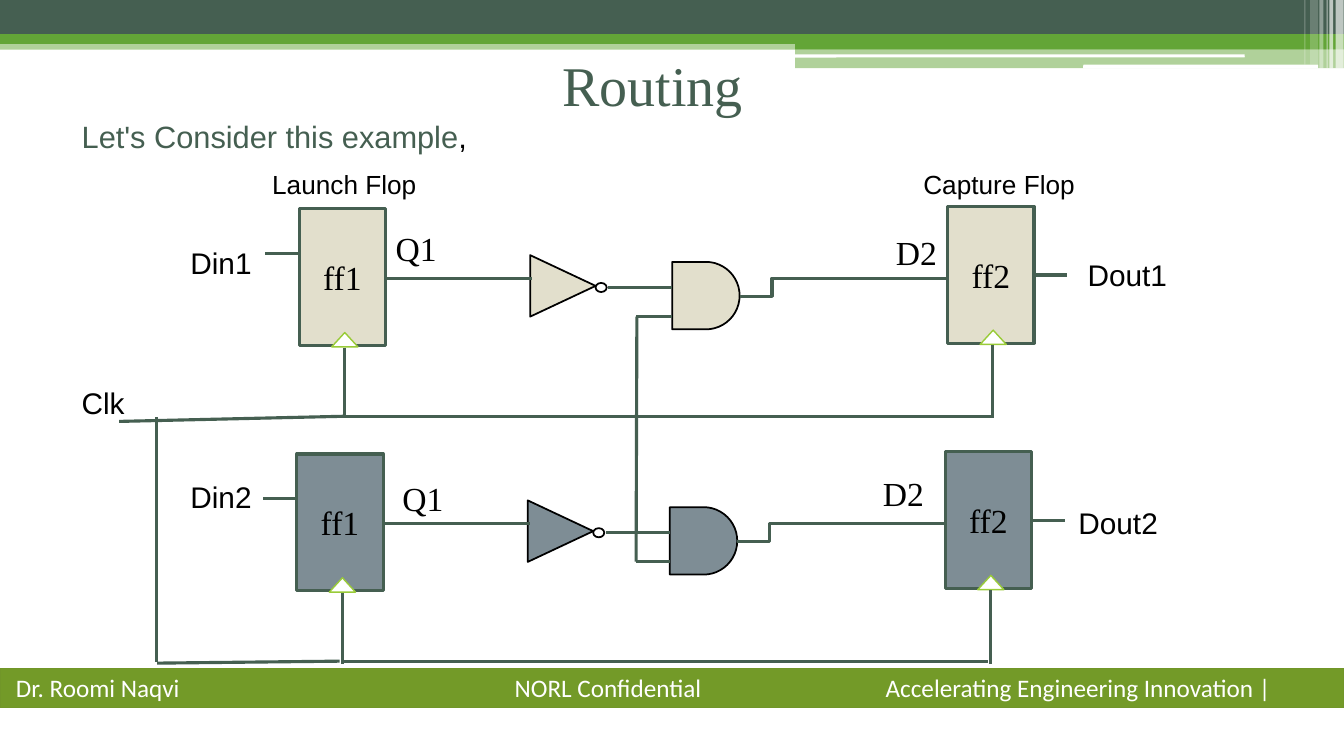
from dataclasses import dataclass

from lxml import etree
from pptx import Presentation
from pptx import util as u
from pptx.dml.color import RGBColor
from pptx.enum import shapes, text
from pptx.oxml import ns


@dataclass(frozen=True)
class Theme:
    dark: str = "455F51"
    green: str = "63A537"
    lime: str = "99CB38"
    footer: str = "739A28"
    footer_edge: str = "719629"
    beige: str = "E2DFCC"
    slate: str = "7E8D95"
    white: str = "FFFFFF"
    black: str = "000000"
    serif: str = "Times New Roman"
    sans: str = "Arial"
    footer_font: str = "Calibri"
    title_size: float = 40
    intro_size: float = 22
    pin_size: float = 24
    port_size: float = 21.3
    caption_size: float = 18.7
    footer_size: float = 18
    wire_width: float = 2.25
    gate_width: float = 1.25


theme = Theme()
kinds = shapes.MSO_SHAPE
deck = Presentation()
deck.slide_width, deck.slide_height = u.Cm(33.87), u.Cm(19.05)
page = deck.slides.add_slide(deck.slide_layouts[6])


def write(box, words, *, font=theme.sans, size=theme.port_size, color=theme.black,
          align=text.PP_ALIGN.LEFT, anchor=text.MSO_ANCHOR.TOP, inset=0):
    """Add words to the first paragraph of a box and return the paragraph."""
    frame = box.text_frame
    frame.word_wrap = True
    frame.vertical_anchor = anchor
    frame.margin_left = u.Cm(inset)
    frame.margin_right = frame.margin_top = frame.margin_bottom = 0
    para = frame.paragraphs[0]
    para.alignment = align
    span = para.add_run()
    span.text = words
    span.font.name, span.font.size = font, u.Pt(size)
    span.font.color.rgb = RGBColor.from_string(color)
    return para


def draw(kind, place, fill, line=None, width=1, opacity=100):
    """Add a preset shape; place is left, top, width, height in cm."""
    shape = page.shapes.add_shape(kind, *map(u.Cm, place))
    shape.shadow.inherit = False
    shape.fill.solid()
    shape.fill.fore_color.rgb = RGBColor.from_string(fill)
    if opacity < 100:
        tint = shape.fill._xPr.find(".//" + ns.qn("a:srgbClr"))
        etree.SubElement(tint, ns.qn("a:alpha"), val=str(opacity * 1000))
    if line:
        shape.line.color.rgb = RGBColor.from_string(line)
        shape.line.width = u.Pt(width)
    else:
        shape.line.fill.background()
    return shape


# Banner bands, then the thin white stripes at the right
for kind, place, color, opacity in [
    (kinds.RECTANGLE, (0, 1.02, 33.87, 0.23), theme.green, 50),
    (kinds.RECTANGLE, (0, 0, 33.87, 0.86), theme.dark, 100),
    (kinds.RECTANGLE, (0, 0.86, 33.87, 0.25), theme.green, 100),
    (kinds.RECTANGLE, (20.04, 0.99, 13.83, 0.25), theme.green, 100),
    (kinds.RECTANGLE, (20.04, 1.22, 13.83, 0.5), theme.green, 50),
    (kinds.ROUNDED_RECTANGLE, (20.02, 1.37, 11.35, 0.08), theme.white, 100),
    (kinds.ROUNDED_RECTANGLE, (27.3, 1.63, 5.92, 0.1), theme.white, 100),
]:
    draw(kind, place, color, opacity=opacity)
for left, width, height, opacity in [
    (33.66, 0.2, 1.73, 65), (33.5, 0.1, 1.73, 65), (33.43, 0.03, 1.73, 60),
    (33.25, 0.1, 1.73, 40), (33.02, 0.2, 1.63, 20), (32.87, 0.03, 1.63, 30),
]:
    draw(kinds.RECTANGLE, (left, 0, width, height), theme.white, opacity=opacity)

# Footer with three tabbed parts
footer = draw(kinds.RECTANGLE, (0, 16.84, 33.87, 0.99), theme.footer, theme.footer_edge)
footer_para = footer.text_frame.paragraphs[0]
tabs = etree.SubElement(footer_para._p.get_or_add_pPr(), ns.qn("a:tabLst"))
for stop in (12.57, 21.92):
    etree.SubElement(tabs, ns.qn("a:tab"), pos=str(u.Cm(stop)), algn="l")
write(footer, "Dr. Roomi Naqvi\tNORL Confidential\tAccelerating Engineering Innovation |",
      font=theme.footer_font, size=theme.footer_size, color=theme.white,
      anchor=text.MSO_ANCHOR.MIDDLE, inset=0.4)

# Title and introduction
title = page.shapes.add_textbox(*map(u.Cm, (0.61, 1.07, 31.67, 2.08)))
write(title, "Routing", font=theme.serif, size=theme.title_size, color=theme.dark,
      align=text.PP_ALIGN.CENTER, anchor=text.MSO_ANCHOR.MIDDLE)
intro = page.shapes.add_textbox(*map(u.Cm, (2.06, 2.97, 28.78, 0.94)))
write(intro, "Let's Consider this example", size=theme.intro_size, color=theme.dark)
write(intro, ",", size=theme.intro_size)

# Each stage: two flops, an inverter and an AND gate
stage_wires = [
    (26.06, 6.93, 26.9, 6.93),     # data out
    (25.02, 8.69, 25.02, 10.54),   # clock to ff2
    (9.73, 7.01, 13.41, 7.01),     # Q1 to inverter
    (8.69, 8.76, 8.69, 10.54),     # clock to ff1
    (20.17, 7.01, 23.88, 7.01),    # into D2
    (8.69, 10.49, 24.97, 10.49),   # clock bus
    (7.54, 6.38, 6.68, 6.38),      # data in
    (15.32, 7.24, 16.94, 7.24),    # inverter to gate
    (18.64, 7.47, 20.27, 7.01),    # gate output step
]
wires = []
for dx, dy, color in [(0, 0, theme.beige), (-0.06, 6.18, theme.slate)]:
    for name, left, top in [("ff1", 7.54, 5.26), ("ff2", 23.88, 5.2)]:
        flop = draw(kinds.RECTANGLE, (left + dx, top + dy, 2.18, 3.45), color,
                    theme.dark, theme.wire_width)
        write(flop, name, font=theme.serif, size=theme.pin_size,
              align=text.PP_ALIGN.CENTER, anchor=text.MSO_ANCHOR.MIDDLE)
        draw(kinds.ISOSCELES_TRIANGLE, (left + dx + 0.82, top + dy + 3.12, 0.66, 0.36),
             theme.white, theme.lime)
    inverter = draw(kinds.ISOSCELES_TRIANGLE, (13.41 + dx, 6.38 + dy, 1.55, 1.65),
                    color, theme.black, theme.gate_width)
    inverter.rotation = 90
    draw(kinds.OVAL, (15.01 + dx, 7.13 + dy, 0.28, 0.23), theme.white,
         theme.black, theme.gate_width)
    draw(kinds.FLOWCHART_DELAY, (16.94 + dx, 6.6 + dy, 1.7, 1.7), color,
         theme.black, theme.gate_width)
    wires += [(x1 + dx, y1 + dy, x2 + dx, y2 + dy) for x1, y1, x2, y2 in stage_wires]

# Wires shared by the stages: clock feeds and the gate cross link
wires += [
    (8.64, 10.49, 3, 10.62), (8.56, 16.66, 3.96, 16.71), (3.94, 10.52, 3.94, 16.69),
    (16.03, 7.98, 16.94, 7.98), (16.03, 14.15, 16.89, 14.15), (16.03, 14.15, 16.05, 7.98),
]
for x1, y1, x2, y2 in wires:
    stepped = abs(x2 - x1) > 0.2 and abs(y2 - y1) > 0.2
    style = shapes.MSO_CONNECTOR.ELBOW if stepped else shapes.MSO_CONNECTOR.STRAIGHT
    wire = page.shapes.add_connector(style, *map(u.Cm, (x1, y1, x2, y2)))
    wire.line.color.rgb = RGBColor.from_string(theme.dark)
    wire.line.width = u.Pt(theme.wire_width)
    etree.SubElement(wire._element.spPr, ns.qn("a:effectLst"))

# Labels for captions, ports and pins
caption = dict(size=theme.caption_size)
port = dict(size=theme.port_size)
pin = dict(font=theme.serif, size=theme.pin_size)
for words, left, top, look in [
    ("Launch Flop", 6.86, 4.24, caption), ("Capture Flop", 23.27, 4.24, caption),
    ("Din1", 4.8, 6.17, port), ("Din2", 4.8, 12.07, port),
    ("Dout1", 27.41, 6.48, port), ("Dout2", 27.18, 12.73, port),
    ("Clk", 2.06, 9.7, port),
    ("Q1", 9.97, 5.74, pin), ("Q1", 10.14, 12.04, pin),
    ("D2", 22.58, 5.84, pin), ("D2", 22.25, 11.91, pin),
]:
    label = page.shapes.add_textbox(*map(u.Cm, (left, top, 4 if look is caption else 2.5, 0.95)))
    write(label, words, **look)

deck.save("out.pptx")
